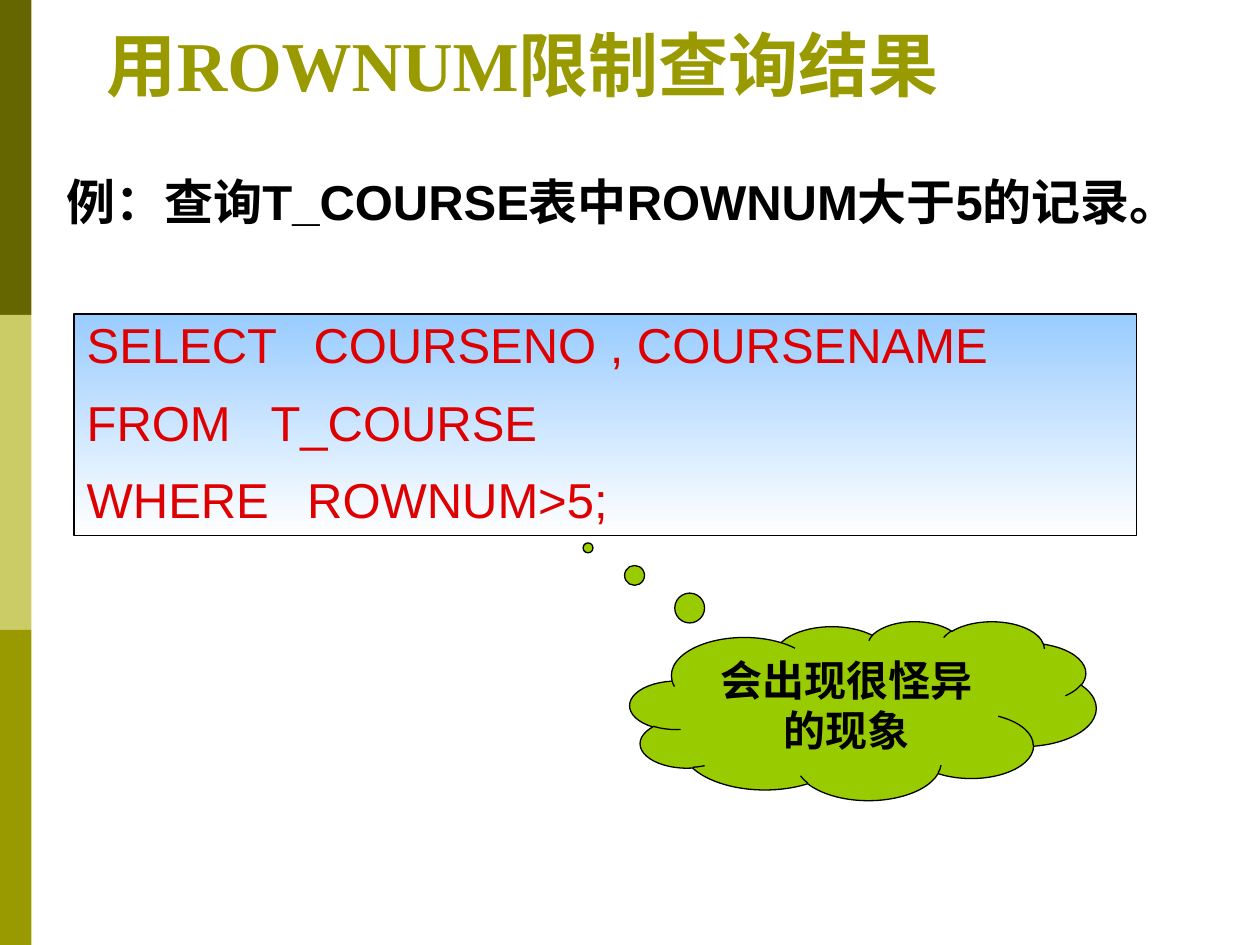
from pptx import Presentation
from pptx.dml.color import RGBColor as Rgb
from pptx.enum.shapes import MSO_SHAPE as Shape
from pptx.enum.text import MSO_ANCHOR as Anchor, MSO_AUTO_SIZE as Auto, PP_ALIGN as Align
from pptx.oxml.ns import qn
from pptx.util import Inches, Pt
from lxml.etree import SubElement as Sub

BLACK = Rgb(0x00, 0x00, 0x00)
WHITE = Rgb(0xFF, 0xFF, 0xFF)
RED = Rgb(0xDE, 0x00, 0x00)
SKY = Rgb(0x99, 0xCC, 0xFF)
LIME = Rgb(0x99, 0xCC, 0x00)
OLIVE = Rgb(0x99, 0x99, 0x00)
SAND = Rgb(0xCC, 0xCC, 0x66)
MOSS = Rgb(0x66, 0x66, 0x00)


class Page:
    """Holds the text style and the current slide."""
    font = "Arial"
    size = 28
    gap = 10.5

    def __init__(self, deck):
        self.slide = deck.slides.add_slide(deck.slide_layouts[1])

    def place(self, item, box):
        item.left, item.top, item.width, item.height = map(Inches, box)

    def frame(self, item, top=0.05, anchor=Anchor.TOP):
        text = item.text_frame
        text.word_wrap = True
        text.auto_size = Auto.NONE
        text.vertical_anchor = anchor
        text.margin_left = text.margin_right = Inches(0.1)
        text.margin_top, text.margin_bottom = Inches(top), Inches(0.05)
        return text

    def label(self, para, words, color, size=size, font=font,
              bold=False, align=Align.LEFT, gap=0):
        para.text = words
        para.alignment = align
        para.space_before = Pt(gap)
        look = para.font
        look.name, look.size, look.bold = font, Pt(size), bold
        look.color.rgb = color

    def title(self, words, box):
        item = self.slide.shapes.title
        self.place(item, box)
        text = self.frame(item, anchor=Anchor.MIDDLE)
        self.label(text.paragraphs[0], words, OLIVE, 40,
                   "Times New Roman", True, Align.CENTER)

    def body(self, words, box):
        item = self.slide.placeholders[1]
        self.place(item, box)
        para = self.frame(item).paragraphs[0]
        self.label(para, words, BLACK, bold=True, gap=self.gap)
        # No bullet and no hanging indent
        props = para._p.get_or_add_pPr()
        props.set("marL", "0")
        props.set("indent", "0")
        props.insert_element_before(
            props.makeelement(qn("a:buNone"), {}), "a:tabLst", "a:defRPr")

    def shape(self, kind, box, fill=None, line=None):
        item = self.slide.shapes.add_shape(kind, *map(Inches, box))
        item.shadow.inherit = False
        if fill is not None:
            item.fill.solid()
            item.fill.fore_color.rgb = fill
        if line:
            item.line.color.rgb = BLACK
            item.line.width = Pt(line)
        else:
            item.line.fill.background()
        return item

    def code(self, lines, box):
        item = self.shape(Shape.RECTANGLE, box, line=1)
        item.fill.gradient()
        item.fill.gradient_angle = 270
        for stop, color, spot in zip(item.fill.gradient_stops, (SKY, WHITE), (0, 1)):
            stop.color.rgb, stop.position = color, spot
        text = self.frame(item, top=0.01)
        for row, (word, rest, tab) in enumerate(lines):
            para = text.add_paragraph() if row else text.paragraphs[0]
            self.label(para, f"{word}\t{rest}", RED, gap=self.gap)
            # One tab stop sets the gap after the keyword
            props = para._p.get_or_add_pPr()
            tabs = props.makeelement(qn("a:tabLst"), {})
            Sub(tabs, qn("a:tab"), pos=str(Inches(tab)), algn="l")
            props.insert_element_before(tabs, "a:defRPr")

    def cloud(self, words, box, tail):
        item = self.shape(Shape.CLOUD_CALLOUT, box, LIME, 0.75)
        item.adjustments[0], item.adjustments[1] = tail
        para = self.frame(item).paragraphs[0]
        self.label(para, words, BLACK, 24, "DejaVu Sans", True, Align.CENTER)


deck = Presentation()
deck.slide_width, deck.slide_height = Inches(10), Inches(7.5)
page = Page(deck)

# Side band
for row, color in enumerate((MOSS, SAND, OLIVE)):
    page.shape(Shape.RECTANGLE, (0, 2.5 * row, 0.25, 2.5), color)

# Heading and example
page.title("用ROWNUM限制查询结果 ", (0, 0.13, 8.42, 0.75))
page.body("例：查询T_COURSE表中ROWNUM大于5的记录。", (0.43, 1.31, 8.78, 1.04))

# Query and remark
page.code([("SELECT", "COURSENO , COURSENAME", 1.8),
           ("FROM", "T_COURSE", 1.46),
           ("WHERE", "ROWNUM>5;", 1.75)], (0.59, 2.49, 8.43, 1.76))
page.cloud("会出现很怪异的现象", (5, 4.93, 3.7, 1.42), (-0.59, -0.91))

deck.save("out.pptx")
